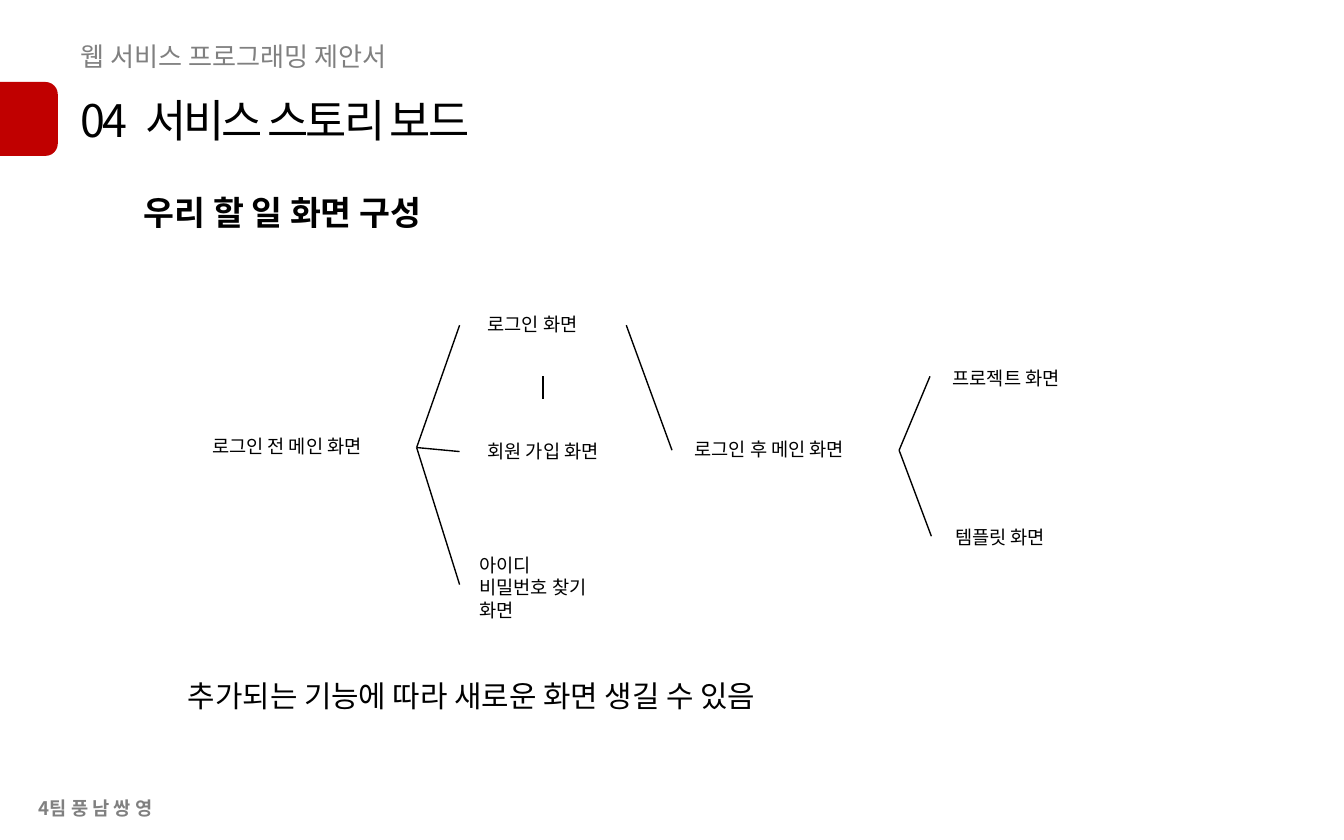
from dataclasses import dataclass

from lxml.etree import SubElement
from pptx import Presentation
from pptx.dml.color import RGBColor
from pptx.enum.shapes import MSO_CONNECTOR, MSO_SHAPE
from pptx.enum.text import MSO_ANCHOR, MSO_AUTO_SIZE, PP_ALIGN
from pptx.oxml.ns import qn
from pptx.util import Inches, Pt


@dataclass(frozen=True)
class Theme:
    font: str = "Noto Sans CJK KR"
    ink: RGBColor = RGBColor(0x00, 0x00, 0x00)
    muted: RGBColor = RGBColor(0x80, 0x80, 0x80)
    accent: RGBColor = RGBColor(0xC0, 0x00, 0x00)
    title: int = 24
    heading: int = 18
    note: int = 16
    kicker: int = 14
    label: int = 10
    line: float = 0.75


THEME = Theme()


def write_run(paragraph, text, *, size=THEME.label, color=THEME.ink, bold=False, spacing=0):
    run = paragraph.add_run()
    run.text = text
    run.font.name = THEME.font
    run.font.size = Pt(size)
    run.font.bold = bold
    run.font.color.rgb = color
    properties = run.font._element
    SubElement(properties, qn("a:ea"), typeface=THEME.font)
    if spacing:
        properties.set("spc", str(int(spacing * 100)))


class StoryboardSlide:
    def __init__(self, deck, theme):
        self.theme = theme
        self.slide = deck.slides.add_slide(deck.slide_layouts[5])
        self.shapes = self.slide.shapes

    def title(self, number, name, left, top, width, height):
        heading = self.shapes.title
        heading.left, heading.top = Inches(left), Inches(top)
        heading.width, heading.height = Inches(width), Inches(height)
        frame = heading.text_frame
        frame.word_wrap = True
        frame.auto_size = MSO_AUTO_SIZE.NONE
        frame.vertical_anchor = MSO_ANCHOR.TOP
        paragraph = frame.paragraphs[0]
        paragraph.alignment = PP_ALIGN.LEFT
        for text, spacing in ((number, -1.5), (" ", 4), (name, -1.5)):
            write_run(paragraph, text, size=self.theme.title, spacing=spacing)

    def text(self, content, left, top, width, height, align=PP_ALIGN.LEFT, **style):
        box = self.shapes.add_textbox(Inches(left), Inches(top), Inches(width), Inches(height))
        frame = box.text_frame
        frame.word_wrap = True
        for index, line in enumerate(content.split("\n")):
            paragraph = frame.add_paragraph() if index else frame.paragraphs[0]
            paragraph.alignment = align
            write_run(paragraph, line, **style)

    def tab(self, left, top, side):
        marker = self.shapes.add_shape(
            MSO_SHAPE.ROUNDED_RECTANGLE, Inches(left), Inches(top), Inches(side), Inches(side))
        marker.shadow.inherit = False
        marker.fill.solid()
        marker.fill.fore_color.rgb = self.theme.accent
        marker.line.fill.background()

    def link(self, start, end):
        connector = self.shapes.add_connector(
            MSO_CONNECTOR.STRAIGHT, *(Inches(value) for value in (*start, *end)))
        connector.line.color.rgb = self.theme.ink
        connector.line.width = Pt(self.theme.line)
        SubElement(connector._element.spPr, qn("a:effectLst"))


def main():
    deck = Presentation()
    deck.slide_width, deck.slide_height = Inches(10), Inches(6.25)
    board = StoryboardSlide(deck, THEME)

    board.text("웹 서비스 프로그래밍 제안서", 0.5, 0.25, 5.2, 0.34,
               size=THEME.kicker, color=THEME.muted)
    board.title("04", "서비스 스토리 보드", 0.5, 0.64, 4, 0.5)
    board.tab(-0.12, 0.61, 0.55)
    board.text("4팀 풍 남 쌍 영", 0.12, 5.88, 1.18, 0.27, align=PP_ALIGN.CENTER,
               color=THEME.muted, bold=True)

    screens = (
        ("로그인 전 메인 화면", 1.48, 3.19, 1.49, 0.27),
        ("로그인 화면", 3.53, 2.28, 1.49, 0.27),
        ("회원 가입 화면", 3.53, 3.22, 1.13, 0.27),
        ("아이디\n비밀번호 찾기 화면", 3.47, 4.07, 1.13, 0.61),
        ("로그인 후 메인 화면", 5.07, 3.21, 1.49, 0.27),
        ("프로젝트 화면", 6.99, 2.68, 1.49, 0.27),
        ("템플릿 화면", 7.01, 3.86, 1.49, 0.27),
    )
    for screen in screens:
        board.text(*screen)

    board.text("우리 할 일 화면 구성", 0.97, 1.38, 2.56, 0.4, size=THEME.heading, bold=True)
    board.text("추가되는 기능에 따라 새로운 화면 생길 수 있음", 1.3, 4.99, 5.59, 0.37,
               size=THEME.note)

    branches = {
        (3.1, 3.33): ((3.42, 2.42), (3.42, 3.36), (3.42, 4.35)),
        (4.66, 2.42): ((5, 3.35),),
        (6.69, 3.35): ((6.92, 2.8), (6.93, 3.99)),
        (4.04, 2.8): ((4.04, 2.97),),
    }
    for start, ends in branches.items():
        for end in ends:
            board.link(start, end)

    deck.save("out.pptx")


if __name__ == "__main__":
    main()
